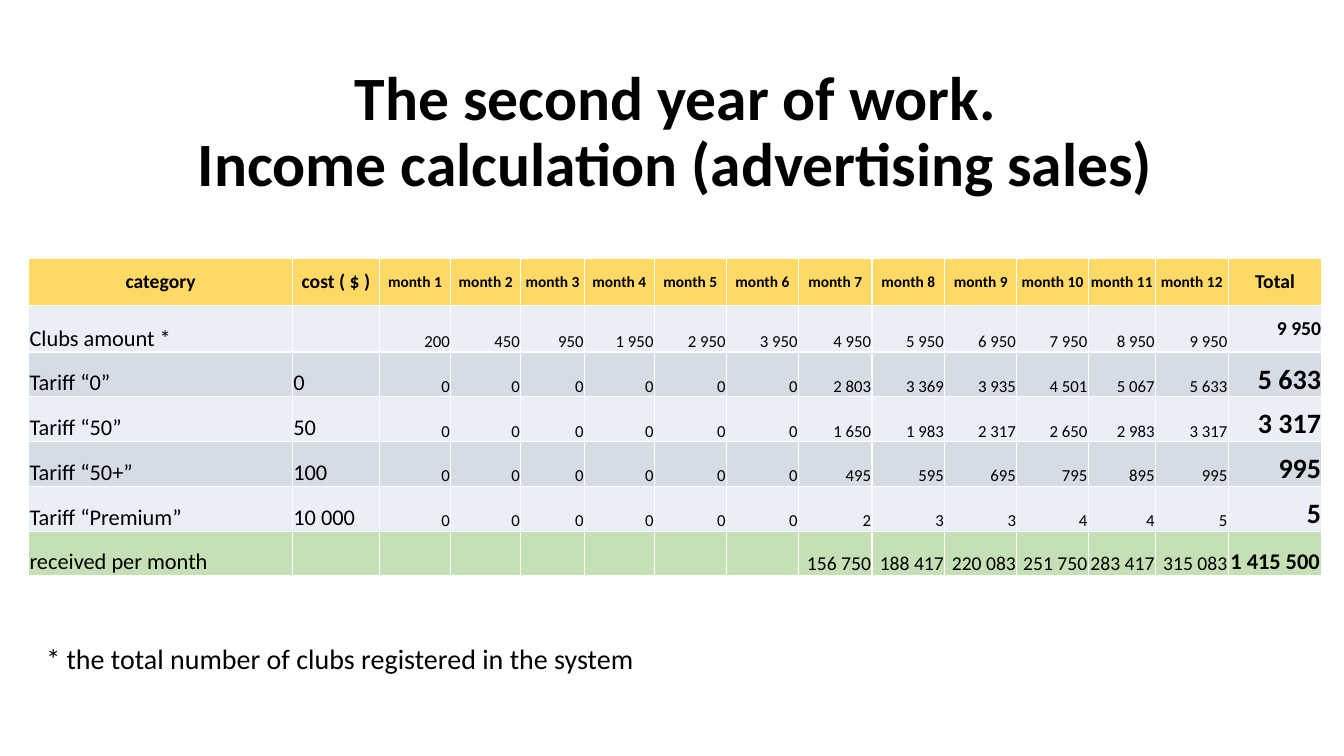
from lxml.etree import SubElement
from pptx import Presentation
from pptx.dml.color import RGBColor
from pptx.enum.text import MSO_ANCHOR as Anchor, PP_ALIGN as Align
from pptx.oxml.ns import qn
from pptx.util import Pt

TITLE = ["The second year of work.", "Income calculation (advertising sales)"]
FOOTNOTE = ["* the total number of clubs registered in the system"]
HEADINGS = ["category", "cost ( $ )", *[f"month {n}" for n in range(1, 13)], "Total"]
NO_SALES = [0] * 6
ROWS = [
    ["Clubs amount *", None, 200, 450, 950, 1950, 2950, 3950,
     4950, 5950, 6950, 7950, 8950, 9950, 9950],
    ["Tariff “0”", 0, *NO_SALES, 2803, 3369, 3935, 4501, 5067, 5633, 5633],
    ["Tariff “50”", 50, *NO_SALES, 1650, 1983, 2317, 2650, 2983, 3317, 3317],
    ["Tariff “50+”", 100, *NO_SALES, 495, 595, 695, 795, 895, 995, 995],
    ["Tariff “Premium”", 10000, *NO_SALES, 2, 3, 3, 4, 4, 5, 5],
    ["received per month", *[None] * 7,
     156750, 188417, 220083, 251750, 283417, 315083, 1415500],
]
COLORS = {"text": "000000", "border": "FFFFFF", "header": "FFD966",
          "light": "EAEFF7", "dark": "D6DCE5", "income": "C5E0B4"}
FONT = "Calibri"
COLUMN_WIDTHS = [188.5, 62, 51, 50, 45.5, 50, 51.5, 51.5,
                 52.5, 52, 51.5, 51, 48, 52, 67]
ROW_HEIGHTS = [33.5, 33.5, 32, 32, 32, 32, 32]
LAST_ROW, LAST_COLUMN = len(ROWS), len(HEADINGS) - 1


def set_values(target, values):
    for name, value in values.items():
        setattr(target, name, value)


def write(para, text, size, bold=False, align=Align.LEFT):
    para.alignment = align
    span = para.add_run()
    span.text = text
    set_values(span.font, {"name": FONT, "size": Pt(size), "bold": bold})
    span.font.color.rgb = RGBColor.from_string(COLORS["text"])


def add_text(page, lines, place, **style):
    frame = page.shapes.add_textbox(*map(Pt, place)).text_frame
    set_values(frame, {"word_wrap": True, "vertical_anchor": Anchor.MIDDLE})
    for index, line in enumerate(lines):
        para = frame.add_paragraph() if index else frame.paragraphs[0]
        para.line_spacing = 0.9
        write(para, line, **style)


def show(value):
    return f"{value:,}".replace(",", " ") if isinstance(value, int) else value


def cell_style(row, column):
    is_month = 1 < column < LAST_COLUMN
    if row == 0:
        return {"size": 11 if is_month else 14, "bold": True, "align": Align.CENTER}
    if column < 2:
        return {"size": 16}
    if is_month:
        return {"size": 14 if row == LAST_ROW else 12, "align": Align.RIGHT}
    return {"size": {1: 14, LAST_ROW: 16}.get(row, 20), "bold": True,
            "align": Align.CENTER if row == LAST_ROW else Align.RIGHT}


def row_color(row):
    special = {0: "header", LAST_ROW: "income"}
    return COLORS[special.get(row, "light" if row % 2 else "dark")]


def add_borders(cell):
    properties = cell._tc.get_or_add_tcPr()
    for side in ("lnL", "lnR", "lnT", "lnB"):
        line = SubElement(properties, qn(f"a:{side}"), w=str(Pt(1)))
        fill = SubElement(line, qn("a:solidFill"))
        SubElement(fill, qn("a:srgbClr"), val=COLORS["border"])


def format_cell(cell, value, row, column):
    add_borders(cell)
    cell.fill.solid()
    cell.fill.fore_color.rgb = RGBColor.from_string(row_color(row))
    centred = row == 0 or (row == 1 and column == LAST_COLUMN)
    set_values(cell, {
        "margin_left": Pt(0.6), "margin_right": Pt(0.6),
        "margin_top": Pt(0.6), "margin_bottom": Pt(0),
        "vertical_anchor": Anchor.MIDDLE if centred else Anchor.BOTTOM,
    })
    if value is not None:
        write(cell.text_frame.paragraphs[0], show(value), **cell_style(row, column))


def add_income_table(page):
    place = (20.5, 184.5, sum(COLUMN_WIDTHS), sum(ROW_HEIGHTS))
    table = page.shapes.add_table(len(ROW_HEIGHTS), len(COLUMN_WIDTHS),
                                  *map(Pt, place)).table
    set_values(table, {"first_row": False, "horz_banding": False})
    for column, width in zip(table.columns, COLUMN_WIDTHS):
        column.width = Pt(width)
    for row, height in zip(table.rows, ROW_HEIGHTS):
        row.height = Pt(height)
    for row, values in enumerate([HEADINGS, *ROWS]):
        for column, value in enumerate(values):
            format_cell(table.cell(row, column), value, row, column)


def main():
    deck = Presentation()
    set_values(deck, {"slide_width": Pt(960), "slide_height": Pt(540)})
    page = deck.slides.add_slide(deck.slide_layouts[6])
    add_text(page, FOOTNOTE, (26, 456.5, 828, 30), size=20)
    add_income_table(page)
    add_text(page, TITLE, (111.5, 43, 742.5, 104.5),
             size=44, bold=True, align=Align.CENTER)
    deck.save("out.pptx")


if __name__ == "__main__":
    main()
